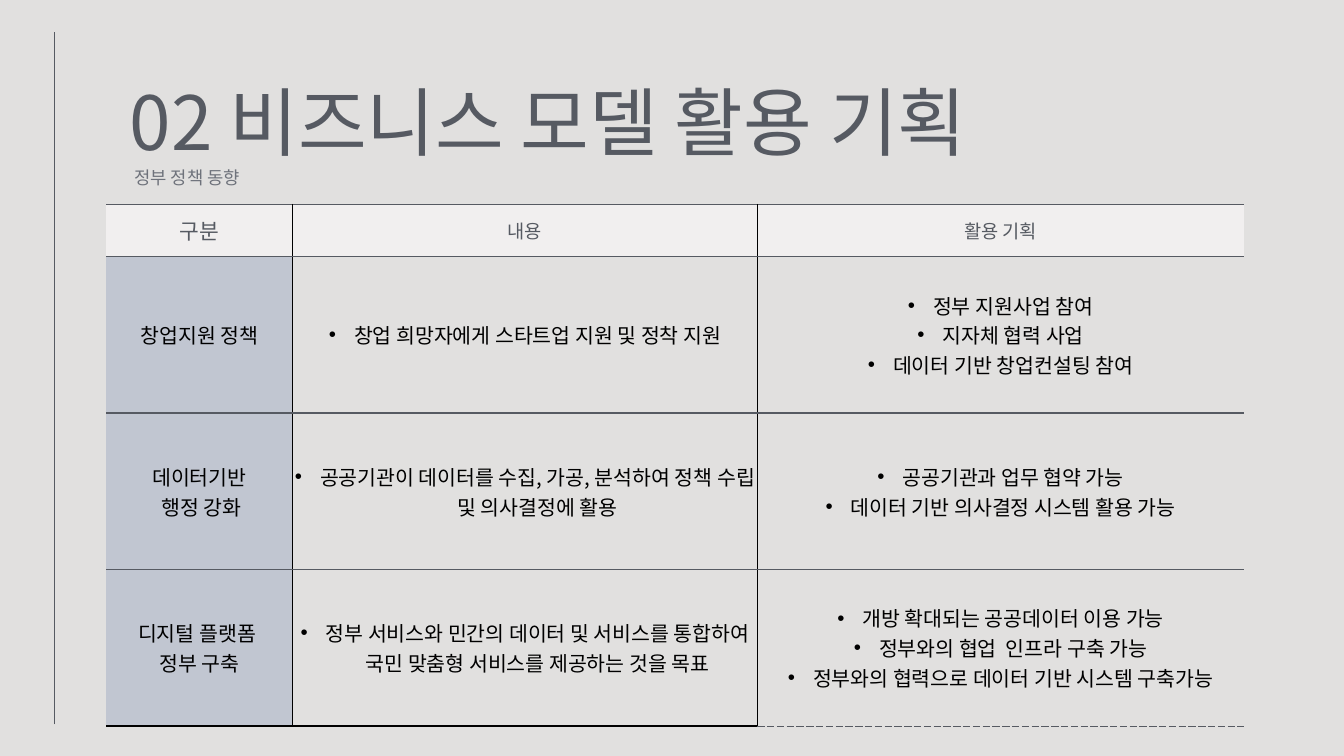
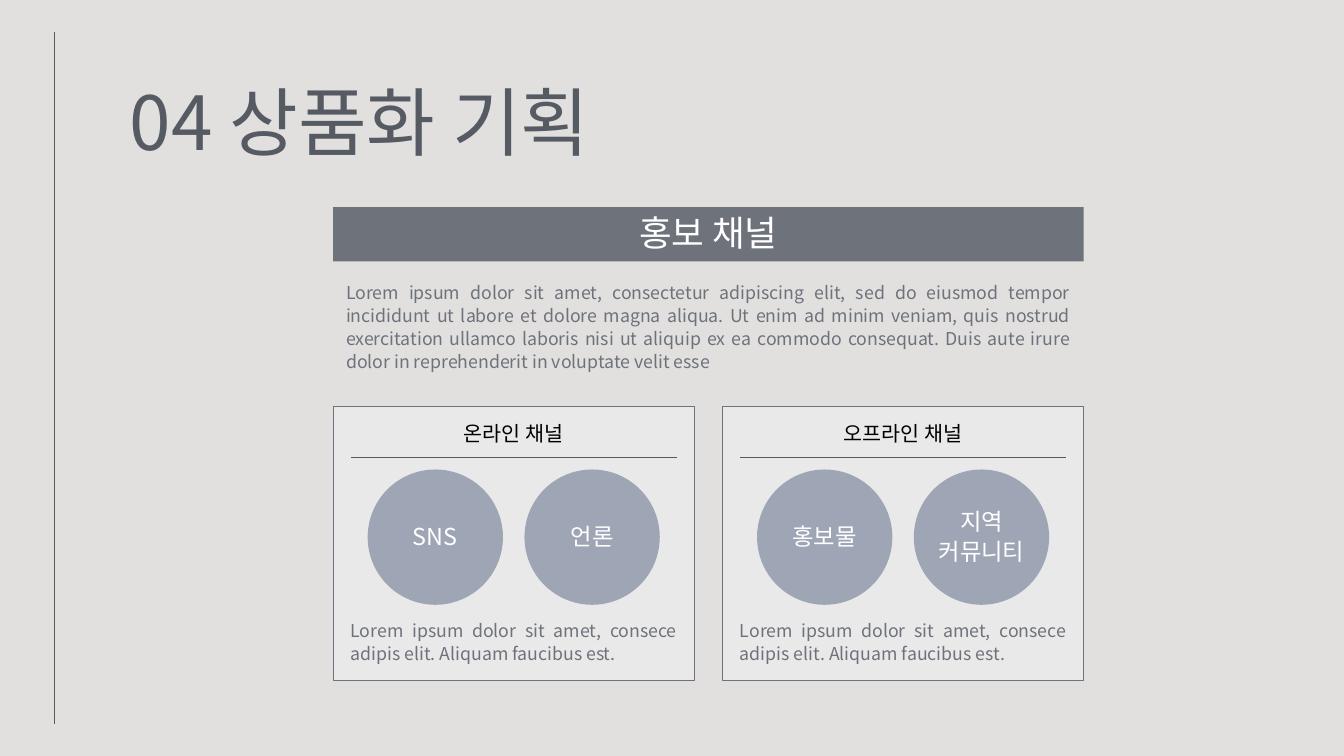
from lxml import etree
from pptx import Presentation
from pptx.dml.color import RGBColor
from pptx.enum.shapes import MSO_CONNECTOR, MSO_SHAPE
from pptx.enum.text import MSO_ANCHOR, PP_ALIGN
from pptx.oxml.ns import qn
from pptx.util import Pt

FONT = "Noto Sans CJK KR"
PAPER, INK, GRAY, BLACK, WHITE = "E1E0DF", "565A62", "6E727B", "000000", "FFFFFF"
HEADER_FILL, LABEL_FILL = "F1EFEF", "C1C6D1"
CARD_FILL, CIRCLE_FILL = "EAE9E9", "9EA6B5"

POLICY_TITLE = "02 비즈니스 모델 활용 기획"
POLICY_SUBTITLE = "정부 정책 동향"
POLICY_HEADER = [("구분", 23), ("내용", 20), ("활용 기획", 20)]
POLICY_ROWS = [
    ("창업지원 정책",
     "창업 희망자에게 스타트업 지원 및 정착 지원",
     "정부 지원사업 참여\n지자체 협력 사업\n데이터 기반 창업컨설팅 참여"),
    ("데이터기반\n 행정 강화",
     "공공기관이 데이터를 수집, 가공, 분석하여 정책 수립 및 의사결정에 활용",
     "공공기관과 업무 협약 가능\n데이터 기반 의사결정 시스템 활용 가능"),
    ("디지털 플랫폼 \n정부 구축",
     "정부 서비스와 민간의 데이터 및 서비스를 통합하여 국민 맞춤형 서비스를 제공하는 것을 목표",
     "개방 확대되는 공공데이터 이용 가능\n정부와의 협업  인프라 구축 가능\n"
     "정부와의 협력으로 데이터 기반 시스템 구축가능"),
]
COLUMN_WIDTHS = [199.5, 498.3, 520.9]
HEADER_HEIGHT, ROW_HEIGHT = 56, 167.6

CHANNEL_TITLE = "04 상품화 기획"
CHANNEL_BANNER = "홍보 채널"
CHANNEL_INTRO = (
    "Lorem ipsum dolor sit amet, consectetur adipiscing elit, sed do eiusmod tempor "
    "incididunt ut labore et dolore magna aliqua. Ut enim ad minim veniam, quis nostrud "
    "exercitation ullamco laboris nisi ut aliquip ex ea commodo consequat. Duis aute irure "
    "dolor in reprehenderit in voluptate velit esse")
CARD_NOTE = "Lorem ipsum dolor sit amet, consece adipis elit. Aliquam faucibus est."
CHANNEL_CARDS = [
    ("온라인 채널", ["SNS", "언론"]),
    ("오프라인 채널", ["홍보물", "지역\n커뮤니티"]),
]
CARDS_LEFT, CARDS_WIDTH, CARD_WIDTH = 357, 804, 386.8
CARD_TOP, CARD_HEIGHT, CARD_PADDING = 435, 293.8, 18.6
CIRCLE_SIZE, CIRCLE_STEP = 145, 168


def rgb(color):
    return RGBColor.from_string(color)


def write(frame, text, size, color, align=PP_ALIGN.LEFT, spacing=None):
    """Fill a text frame, one paragraph per line of text."""
    frame.word_wrap = True
    frame.text = text
    for para in frame.paragraphs:
        para.alignment = align
        if spacing:
            para.line_spacing = Pt(spacing)
        for span in para.runs:
            span.font.size = Pt(size)
            span.font.name = FONT
            span.font.color.rgb = rgb(color)
            latin = span.font._element.find(qn("a:latin"))
            east_asian = etree.Element(qn("a:ea"), typeface=FONT)
            latin.addnext(east_asian)


def clear_margins(frame):
    frame.margin_left = frame.margin_top = frame.margin_right = frame.margin_bottom = 0


def add_text(page, bounds, text, size, color, align, spacing):
    box = page.shapes.add_textbox(*map(Pt, bounds))
    clear_margins(box.text_frame)
    write(box.text_frame, text, size, color, align, spacing)


def add_body(page, bounds, text):
    add_text(page, bounds, text, 19, GRAY, PP_ALIGN.JUSTIFY, 24.7)


def add_panel(page, preset, bounds, fill, outline=None):
    panel = page.shapes.add_shape(preset, *map(Pt, bounds))
    panel.shadow.inherit = False
    panel.fill.solid()
    panel.fill.fore_color.rgb = rgb(fill)
    if outline:
        panel.line.color.rgb = rgb(outline)
        panel.line.width = Pt(0.75)
    else:
        panel.line.fill.background()
    clear_margins(panel.text_frame)
    panel.text_frame.vertical_anchor = MSO_ANCHOR.MIDDLE
    return panel


def add_rule(page, *ends):
    rule = page.shapes.add_connector(MSO_CONNECTOR.STRAIGHT, *map(Pt, ends))
    rule.line.color.rgb = rgb(INK)
    rule.line.width = Pt(0.75)
    etree.SubElement(rule._element.spPr, qn("a:effectLst"))


def add_page(deck, title):
    """Add a slide with the shared background, side rule and title."""
    page = deck.slides.add_slide(deck.slide_layouts[6])
    page.background.fill.solid()
    page.background.fill.fore_color.rgb = rgb(PAPER)
    add_rule(page, 58.3, 776, 58.3, 34)
    add_text(page, (139, 89.3, 1072, 89), title, 80, INK, PP_ALIGN.LEFT, 88)
    return page


def set_borders(cell, borders):
    """Draw left, right, top and bottom borders, each (colour, width, dash) or None."""
    properties = cell._tc.get_or_add_tcPr()
    for index, (side, border) in enumerate(zip("LRTB", borders)):
        color, width, dash = border or (INK, 0, "solid")
        line = etree.Element(qn(f"a:ln{side}"), w=str(int(Pt(width))))
        if border:
            fill = etree.SubElement(line, qn("a:solidFill"))
            etree.SubElement(fill, qn("a:srgbClr"), val=color)
            etree.SubElement(line, qn("a:prstDash"), val=dash)
        else:
            etree.SubElement(line, qn("a:noFill"))
        properties.insert(index, line)


def add_bullets(frame):
    indent = int(Pt(27))
    for para in frame.paragraphs:
        properties = para._p.get_or_add_pPr()
        properties.set("marL", str(indent))
        properties.set("indent", str(-indent))
        etree.SubElement(properties, qn("a:buFont"), typeface="Arial")
        etree.SubElement(properties, qn("a:buChar"), char="•")


def fill_cell(cell, text, size, color, fill):
    cell.margin_left = cell.margin_right = cell.margin_top = cell.margin_bottom = Pt(2)
    cell.vertical_anchor = MSO_ANCHOR.MIDDLE
    write(cell.text_frame, text, size, color, PP_ALIGN.CENTER)
    if fill:
        cell.fill.solid()
        cell.fill.fore_color.rgb = rgb(fill)
    else:
        cell.fill.background()


def cell_borders(row, column):
    last_row, last_column = len(POLICY_ROWS), len(COLUMN_WIDTHS) - 1
    divider, separator = (BLACK, 0.75, "solid"), (INK, 1.5, "solid")
    bottom = separator
    if row == last_row:
        bottom = (INK, 0.75, "sysDash") if column == last_column else (BLACK, 2.25, "solid")
    return (divider if column > 0 else None,
            divider if column < last_column else None,
            separator, bottom)


def add_policy_table(page):
    heights = [HEADER_HEIGHT] + [ROW_HEIGHT] * len(POLICY_ROWS)
    bounds = (113.8, 219, sum(COLUMN_WIDTHS), sum(heights))
    table = page.shapes.add_table(len(heights), len(COLUMN_WIDTHS), *map(Pt, bounds)).table
    table.first_row = table.horz_banding = False
    for column, width in zip(table.columns, COLUMN_WIDTHS):
        column.width = Pt(width)
    for row, height in zip(table.rows, heights):
        row.height = Pt(height)
    for column, (text, size) in enumerate(POLICY_HEADER):
        fill_cell(table.cell(0, column), text, size, INK, HEADER_FILL)
    for row, texts in enumerate(POLICY_ROWS, start=1):
        for column, text in enumerate(texts):
            cell = table.cell(row, column)
            fill_cell(cell, text, 22, BLACK, None if column else LABEL_FILL)
            if column:
                add_bullets(cell.text_frame)
    for row in range(len(heights)):
        for column in range(len(COLUMN_WIDTHS)):
            set_borders(table.cell(row, column), cell_borders(row, column))


def add_card(page, left, heading, circles):
    add_panel(page, MSO_SHAPE.RECTANGLE, (left, CARD_TOP, CARD_WIDTH, CARD_HEIGHT),
              CARD_FILL, GRAY)
    inner_left, inner_width = left + CARD_PADDING, CARD_WIDTH - 2 * CARD_PADDING
    add_text(page, (inner_left, 453, inner_width, 25), heading, 22.1, BLACK,
             PP_ALIGN.CENTER, 24.4)
    add_rule(page, inner_left, 489.8, inner_left + inner_width, 489.8)
    circles_width = CIRCLE_STEP * (len(circles) - 1) + CIRCLE_SIZE
    first_left = left + (CARD_WIDTH - circles_width) / 2
    for index, label in enumerate(circles):
        circle = add_panel(page, MSO_SHAPE.OVAL,
                           (first_left + index * CIRCLE_STEP, 503, CIRCLE_SIZE, CIRCLE_SIZE),
                           CIRCLE_FILL)
        circle.text_frame.margin_bottom = Pt(4)
        write(circle.text_frame, label, 25, WHITE, PP_ALIGN.CENTER, 32.5)
    add_body(page, (inner_left, 661.7, inner_width, 48), CARD_NOTE)


def build_policy_slide(deck):
    page = add_page(deck, POLICY_TITLE)
    add_policy_table(page)
    add_body(page, (144, 176.4, 582, 24.5), POLICY_SUBTITLE)


def build_channel_slide(deck):
    page = add_page(deck, CHANNEL_TITLE)
    banner = add_panel(page, MSO_SHAPE.RECTANGLE, (CARDS_LEFT, 222, CARDS_WIDTH, 58), GRAY)
    write(banner.text_frame, CHANNEL_BANNER, 38, WHITE, PP_ALIGN.CENTER, 41.8)
    add_body(page, (370.8, 299.5, 776, 96.5), CHANNEL_INTRO)
    step = (CARDS_WIDTH - CARD_WIDTH) / (len(CHANNEL_CARDS) - 1)
    for index, (heading, circles) in enumerate(CHANNEL_CARDS):
        add_card(page, CARDS_LEFT + index * step, heading, circles)


def main():
    deck = Presentation()
    deck.slide_width, deck.slide_height = Pt(1440), Pt(810)
    build_policy_slide(deck)
    build_channel_slide(deck)
    deck.save("out.pptx")


if __name__ == "__main__":
    main()
